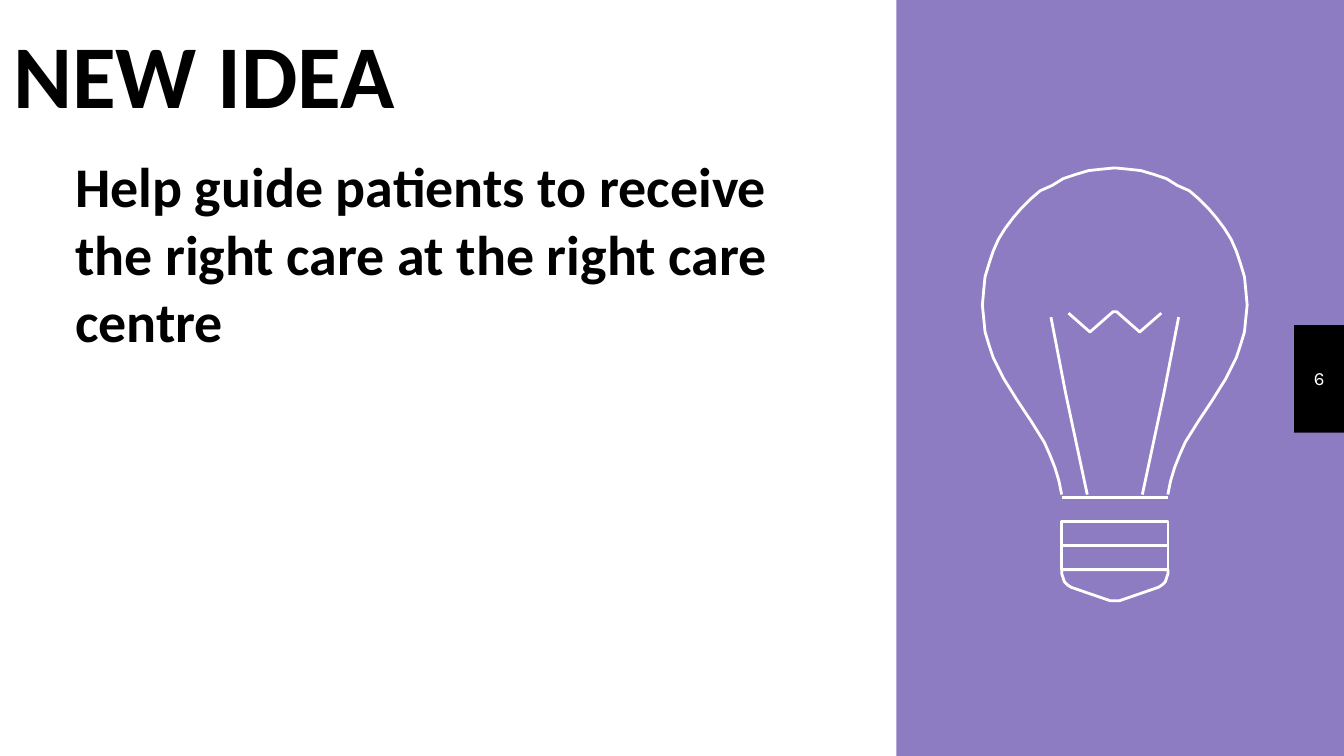
from pptx import Presentation
from pptx.dml.color import RGBColor
from pptx.enum import shapes, text
from pptx.oxml.ns import qn
from pptx.util import Inches, Pt
from lxml import etree

PURPLE, BLACK, WHITE = "8D7CC2", "000000", "FFFFFF"
SLIDE_WIDTH = 10
SLIDE_HEIGHT = SLIDE_WIDTH * 9 / 16
BULB_LEFT, BULB_RIGHT = 7.9, 8.69
BULB_AXIS = (BULB_LEFT + BULB_RIGHT) / 2

# Right halves, each listed from the bulb's axis outwards.
GLASS = [
    (8.3, 1.25), (8.4, 1.26), (8.49, 1.27), (8.59, 1.3), (8.68, 1.33),
    (8.76, 1.38), (8.85, 1.42), (8.92, 1.48), (8.99, 1.55), (9.05, 1.62),
    (9.11, 1.7), (9.16, 1.78), (9.2, 1.87), (9.23, 1.96), (9.26, 2.06),
    (9.27, 2.16), (9.28, 2.27), (9.27, 2.37), (9.26, 2.47), (9.23, 2.57),
    (9.2, 2.66), (9.16, 2.74), (9.12, 2.82), (9.07, 2.9), (9.02, 2.98),
    (8.92, 3.13), (8.87, 3.21), (8.82, 3.29), (8.78, 3.38), (8.74, 3.48),
    (8.71, 3.58), (8.69, 3.68),
]
FILAMENT = [(8.31, 2.32), (8.32, 2.33), (8.48, 2.47), (8.64, 2.33)]
TIP = [
    (8.3, 4.47), (8.33, 4.47), (8.62, 4.37), (8.65, 4.35), (8.67, 4.33),
    (8.68, 4.3), (8.69, 4.27), (8.69, 4.24),
]
SUPPORT = [(8.77, 2.36), (8.66, 2.93), (8.5, 3.68)]


def color(hex_value):
    return RGBColor.from_string(hex_value)


def mirror(points):
    return [(2 * BULB_AXIS - x, y) for x, y in points]


def symmetric(half):
    """Join a right half to its mirror image, running left to right."""
    return mirror(half)[::-1] + half


def add_panel(slide, left, top, width, height, fill):
    panel = slide.shapes.add_shape(
        shapes.MSO_SHAPE.RECTANGLE,
        Inches(left), Inches(top), Inches(width), Inches(height))
    panel.shadow.inherit = False
    panel.fill.solid()
    panel.fill.fore_color.rgb = color(fill)
    panel.line.fill.background()


def add_text(slide, content, box, size, font, fill, bold=False, centered=False):
    shape = slide.shapes.add_textbox(*[Inches(value) for value in box])
    frame = shape.text_frame
    frame.word_wrap = True
    frame.margin_left = frame.margin_right = Inches(0.1)
    frame.margin_top = frame.margin_bottom = Inches(0.1)
    frame.text = content
    paragraph = frame.paragraphs[0]
    if centered:
        frame.vertical_anchor = text.MSO_ANCHOR.MIDDLE
        paragraph.alignment = text.PP_ALIGN.CENTER
    run_font = paragraph.runs[0].font
    run_font.name = font
    run_font.size = Pt(size)
    run_font.bold = bold
    run_font.color.rgb = color(fill)


def style_line(shape):
    shape.line.color.rgb = color(WHITE)
    shape.line.width = Pt(1.5)


def add_outline(group, points, closed=False):
    start, *others = [(Inches(x), Inches(y)) for x, y in points]
    builder = group.shapes.build_freeform(*start)
    builder.add_line_segments(others, close=closed)
    outline = builder.convert_to_shape()
    outline.shadow.inherit = False
    outline.fill.background()
    style_line(outline)


def add_collar(group, y):
    collar = group.shapes.add_connector(
        shapes.MSO_CONNECTOR.STRAIGHT,
        Inches(BULB_LEFT), Inches(y), Inches(BULB_RIGHT), Inches(y))
    style_line(collar)
    etree.SubElement(collar._element.spPr, qn("a:effectLst"))


def add_bulb(slide):
    group = slide.shapes.add_group_shape()
    for top in (4.06, 3.88):
        bottom = top + 0.18
        add_outline(group, symmetric([(BULB_RIGHT, top)])
                    + symmetric([(BULB_RIGHT, bottom)])[::-1], closed=True)
    add_outline(group, symmetric(TIP), closed=True)
    add_outline(group, symmetric(GLASS))
    add_outline(group, symmetric(FILAMENT))
    for support in (SUPPORT, mirror(SUPPORT)):
        add_outline(group, support)
    add_collar(group, 3.7)


def main():
    presentation = Presentation()
    presentation.slide_width = Inches(SLIDE_WIDTH)
    presentation.slide_height = Inches(SLIDE_HEIGHT)
    slide = presentation.slides.add_slide(presentation.slide_layouts[6])
    slide.background.fill.solid()
    slide.background.fill.fore_color.rgb = color(PURPLE)

    add_panel(slide, 9.63, 2.42, 0.37, 0.8, BLACK)
    add_panel(slide, 0, 0, 6.67, SLIDE_HEIGHT, WHITE)
    add_text(slide, "6", (9.63, 2.41, 0.37, 0.8), 10, "Karla", WHITE,
             centered=True)
    add_text(slide, "NEW IDEA", (0, 0.04, 6.78, 1.71), 48, "Calibri", BLACK,
             bold=True)
    add_text(slide,
             "Help guide patients to receive the right care at the right care centre",
             (0.46, 1.03, 5.62, 3.28), 30, "Calibri", BLACK, bold=True)
    add_bulb(slide)
    presentation.save("out.pptx")


if __name__ == "__main__":
    main()
